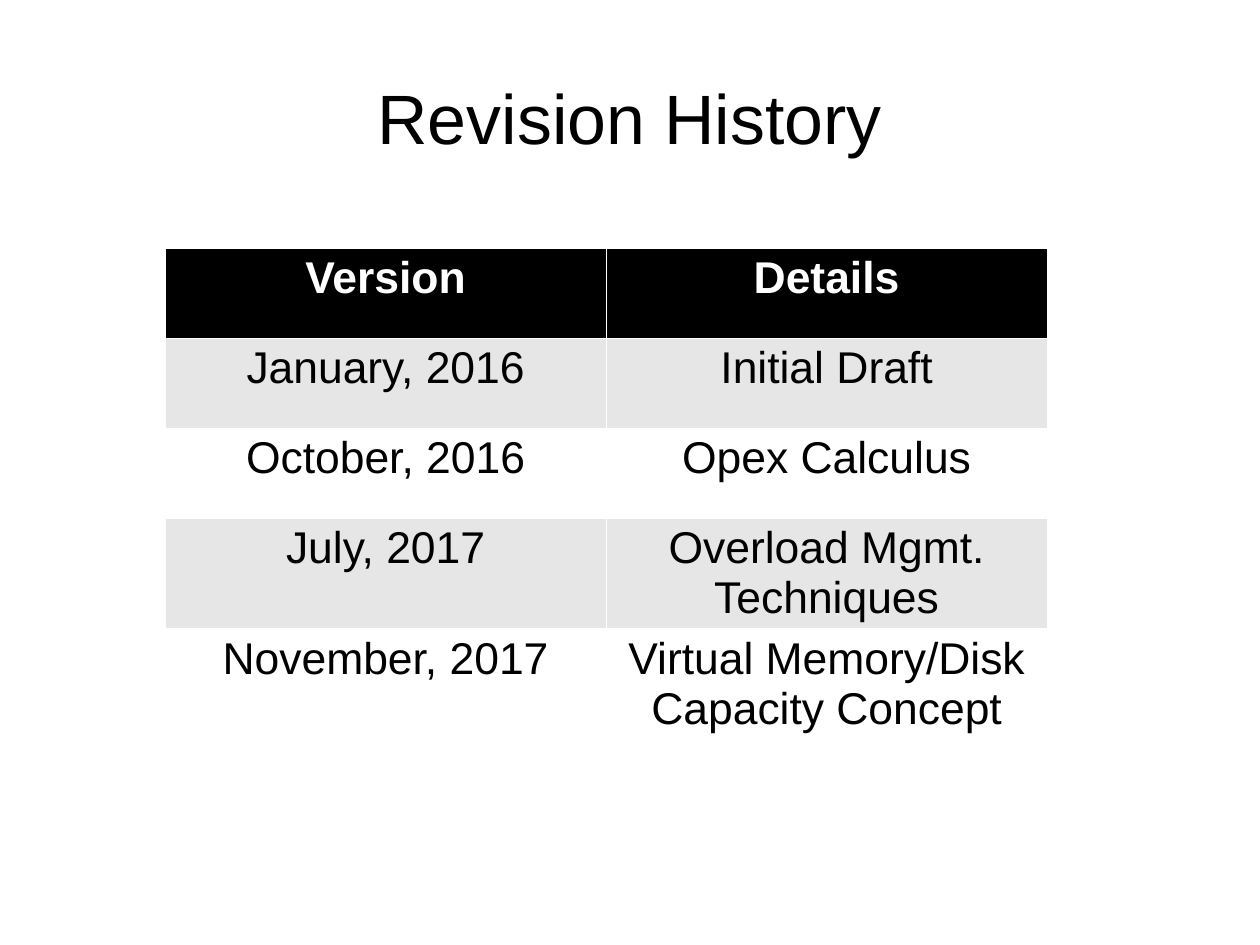
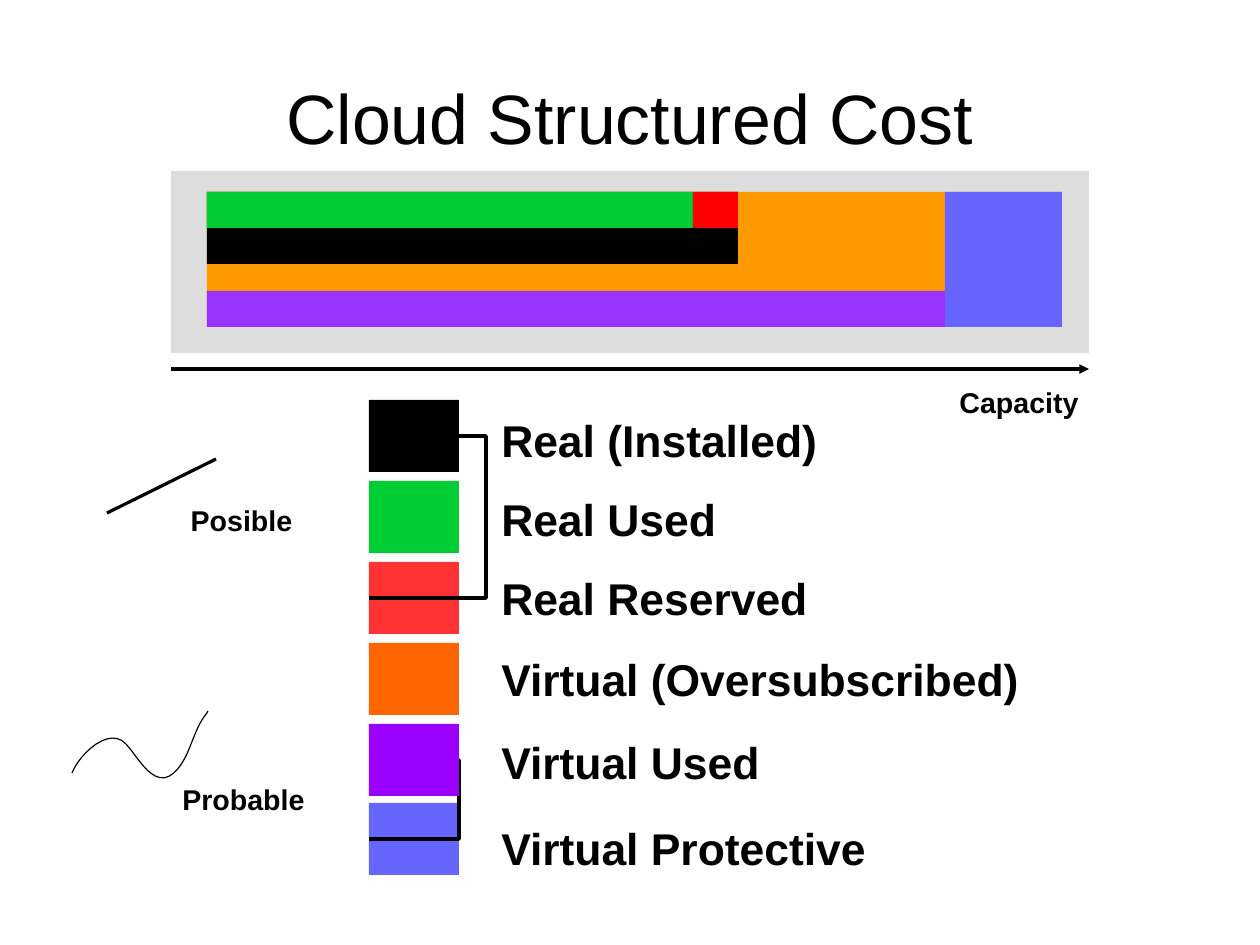
from dataclasses import dataclass
from typing import Optional

from pptx import Presentation
from pptx.dml.color import RGBColor
from pptx.enum.shapes import MSO_CONNECTOR, MSO_SHAPE
from pptx.enum.text import MSO_ANCHOR, MSO_AUTO_SIZE, PP_ALIGN
from pptx.oxml import parse_xml
from pptx.oxml.ns import nsdecls
from pptx.util import Emu, Pt

EMU_PER_PX = 8000
FONT = "Arial"
BLACK, WHITE, STRIPE = "000000", "FFFFFF", "E6E6E6"
FRAME, GREEN, RED, AMBER = "DDDDDD", "00CC33", "FF0000", "FF9900"
VIOLET, BLUE = "9933FF", "6666FF"
SWATCH_LEFT, SWATCH_WIDTH, SWATCH_HEIGHT = 369, 90, 72
LABEL_LEFT = 490
Point = tuple[float, float]


@dataclass(frozen=True)
class Box:
    left: int
    top: int
    width: int
    height: int

    def emu(self) -> tuple[Emu, Emu, Emu, Emu]:
        return px(self.left), px(self.top), px(self.width), px(self.height)


@dataclass(frozen=True)
class Bar:
    box: Box
    fill: str


@dataclass(frozen=True)
class Note:
    text: str
    box: Box


@dataclass(frozen=True)
class Bracket:
    right: int
    end_y: int


@dataclass(frozen=True)
class LegendItem:
    text: str
    fill: str
    top: int
    label_top: int
    bracket: Optional[Bracket] = None


TITLE_BOX = Box(63, 38, 1134, 158)
TABLE_BOX = Box(165, 248, 882, 450)
REVISIONS = (
    ("Version", "Details"),
    ("January, 2016", "Initial Draft"),
    ("October, 2016", "Opex Calculus"),
    ("July, 2017", "Overload Mgmt.\nTechniques"),
    ("November, 2017", "Virtual Memory/Disk Capacity Concept"),
)
CAPACITY_BARS = (
    Bar(Box(171, 171, 918, 182), FRAME),
    Bar(Box(207, 192, 855, 135), AMBER),
    Bar(Box(207, 192, 531, 72), BLACK),
    Bar(Box(207, 192, 486, 36), GREEN),
    Bar(Box(693, 192, 45, 36), RED),
    Bar(Box(945, 192, 117, 135), BLUE),
    Bar(Box(207, 291, 738, 36), VIOLET),
)
LEGEND = (
    LegendItem("Real (Installed)", BLACK, 400, 407),
    LegendItem("Real Used", GREEN, 481, 486),
    LegendItem("Real Reserved", "FF3333", 562, 565, Bracket(486, 436)),
    LegendItem("Virtual (Oversubscribed)", "FF6600", 643, 646),
    LegendItem("Virtual Protective", BLUE, 803, 815, Bracket(459, 760)),
    LegendItem("Virtual Used", "9900FF", 724, 729),
)
NOTES = (
    Note("Posible", Box(179, 497, 125, 43)),
    Note("Probable", Box(171, 776, 145, 43)),
    Note("Capacity", Box(948, 379, 142, 43)),
)
WAVE_START = (72, 773)
WAVE_CURVES = (
    ((80, 753), (110, 726), (126, 744)),
    ((139, 758), (154, 790), (174, 773)),
    ((191, 757), (192, 731), (207, 713)),
)
WAVE_END = (208, 711)


def px(length: float) -> Emu:
    return Emu(round(length * EMU_PER_PX))


def colour(value: str) -> RGBColor:
    return RGBColor.from_string(value)


def write_text(frame, text: str, size: int, tint: str = BLACK,
               bold: bool = False, align=PP_ALIGN.CENTER) -> None:
    for index, line in enumerate(text.split("\n")):
        paragraph = frame.add_paragraph() if index else frame.paragraphs[0]
        paragraph.alignment = align
        run = paragraph.add_run()
        run.text = line
        run.font.name = FONT
        run.font.size = Pt(size)
        run.font.bold = bold
        run.font.color.rgb = colour(tint)


def add_titled_slide(presentation, text: str):
    slide = presentation.slides.add_slide(presentation.slide_layouts[5])
    title = slide.shapes.title
    title.left, title.top, title.width, title.height = TITLE_BOX.emu()
    frame = title.text_frame
    frame.margin_left = frame.margin_right = 0
    frame.margin_top = frame.margin_bottom = 0
    frame.vertical_anchor = MSO_ANCHOR.MIDDLE
    frame.auto_size = MSO_AUTO_SIZE.NONE
    write_text(frame, text, 44)
    return slide


def add_label(slide, text: str, box: Box, size: int, wrap: bool, align) -> None:
    frame = slide.shapes.add_textbox(*box.emu()).text_frame
    frame.word_wrap = wrap
    write_text(frame, text, size, bold=True, align=align)


def add_bar(slide, bar: Bar) -> None:
    shape = slide.shapes.add_shape(MSO_SHAPE.RECTANGLE, *bar.box.emu())
    shape.shadow.inherit = False
    shape.fill.solid()
    shape.fill.fore_color.rgb = colour(bar.fill)
    shape.line.fill.background()


def style_line(line, width: float, arrow: bool) -> None:
    line.color.rgb = colour(BLACK)
    line.width = Pt(width)
    if arrow:
        line._get_or_add_ln().append(
            parse_xml(f'<a:tailEnd {nsdecls("a")} type="triangle"/>'))


def add_line(slide, start: Point, end: Point, arrow: bool = False) -> None:
    connector = slide.shapes.add_connector(
        MSO_CONNECTOR.STRAIGHT, px(start[0]), px(start[1]), px(end[0]), px(end[1]))
    style_line(connector.line, 0, arrow)
    connector._element.spPr.append(parse_xml(f'<a:effectLst {nsdecls("a")}/>'))


def add_outline(slide, points: list[Point], width: float, arrow: bool = False) -> None:
    corners = [(px(x), px(y)) for x, y in points]
    builder = slide.shapes.build_freeform(*corners[0])
    builder.add_line_segments(corners[1:], close=False)
    shape = builder.convert_to_shape()
    shape.shadow.inherit = False
    shape.fill.background()
    style_line(shape.line, width, arrow)


def wave_points(steps: int = 12) -> list[Point]:
    points: list[Point] = [WAVE_START]
    for curve in WAVE_CURVES:
        controls = (points[-1], *curve)
        for step in range(1, steps + 1):
            t = step / steps
            weights = ((1 - t) ** 3, 3 * t * (1 - t) ** 2, 3 * t * t * (1 - t), t ** 3)
            x, y = (sum(weight * control[axis] for weight, control in zip(weights, controls))
                    for axis in (0, 1))
            points.append((x, y))
    return points + [WAVE_END]


def add_legend_item(slide, item: LegendItem) -> None:
    add_bar(slide, Bar(Box(SWATCH_LEFT, item.top, SWATCH_WIDTH, SWATCH_HEIGHT), item.fill))
    add_label(slide, item.text, Box(LABEL_LEFT, item.label_top, 671, 66), 28, True, PP_ALIGN.LEFT)
    if item.bracket:
        middle = item.top + SWATCH_HEIGHT // 2
        right, end_y = item.bracket.right, item.bracket.end_y
        add_outline(slide, [(SWATCH_LEFT, middle), (right, middle),
                            (right, end_y), (SWATCH_LEFT, end_y)], 2.3, arrow=True)


def set_borders(cell) -> None:
    properties = cell._tc.get_or_add_tcPr()
    for index, side in enumerate(("lnL", "lnR", "lnT", "lnB")):
        properties.insert(index, parse_xml(
            f'<a:{side} {nsdecls("a")} w="{Pt(0.06)}"><a:solidFill>'
            f'<a:srgbClr val="{WHITE}"/></a:solidFill></a:{side}>'))


def build_revision_history(presentation) -> None:
    slide = add_titled_slide(presentation, "Revision History")
    table = slide.shapes.add_table(
        len(REVISIONS), len(REVISIONS[0]), *TABLE_BOX.emu()).table
    for row_index, revision in enumerate(REVISIONS):
        header = row_index == 0
        fill = BLACK if header else STRIPE if row_index % 2 else WHITE
        for column_index, text in enumerate(revision):
            cell = table.cell(row_index, column_index)
            cell.fill.solid()
            cell.fill.fore_color.rgb = colour(fill)
            set_borders(cell)
            write_text(cell.text_frame, text, 28, WHITE if header else BLACK, header)


def build_cloud_cost(presentation) -> None:
    slide = add_titled_slide(presentation, "Cloud Structured Cost")
    for bar in CAPACITY_BARS:
        add_bar(slide, bar)
    for item in LEGEND:
        add_legend_item(slide, item)
    for note in NOTES:
        add_label(slide, note.text, note.box, 18, False, PP_ALIGN.CENTER)
    add_line(slide, (171, 369), (1089, 369), arrow=True)
    add_line(slide, (107, 513), (216, 459))
    add_outline(slide, wave_points(), 0)


def main() -> None:
    presentation = Presentation()
    presentation.slide_width, presentation.slide_height = px(1260), px(945)
    build_revision_history(presentation)
    build_cloud_cost(presentation)
    presentation.save("out.pptx")


if __name__ == "__main__":
    main()
